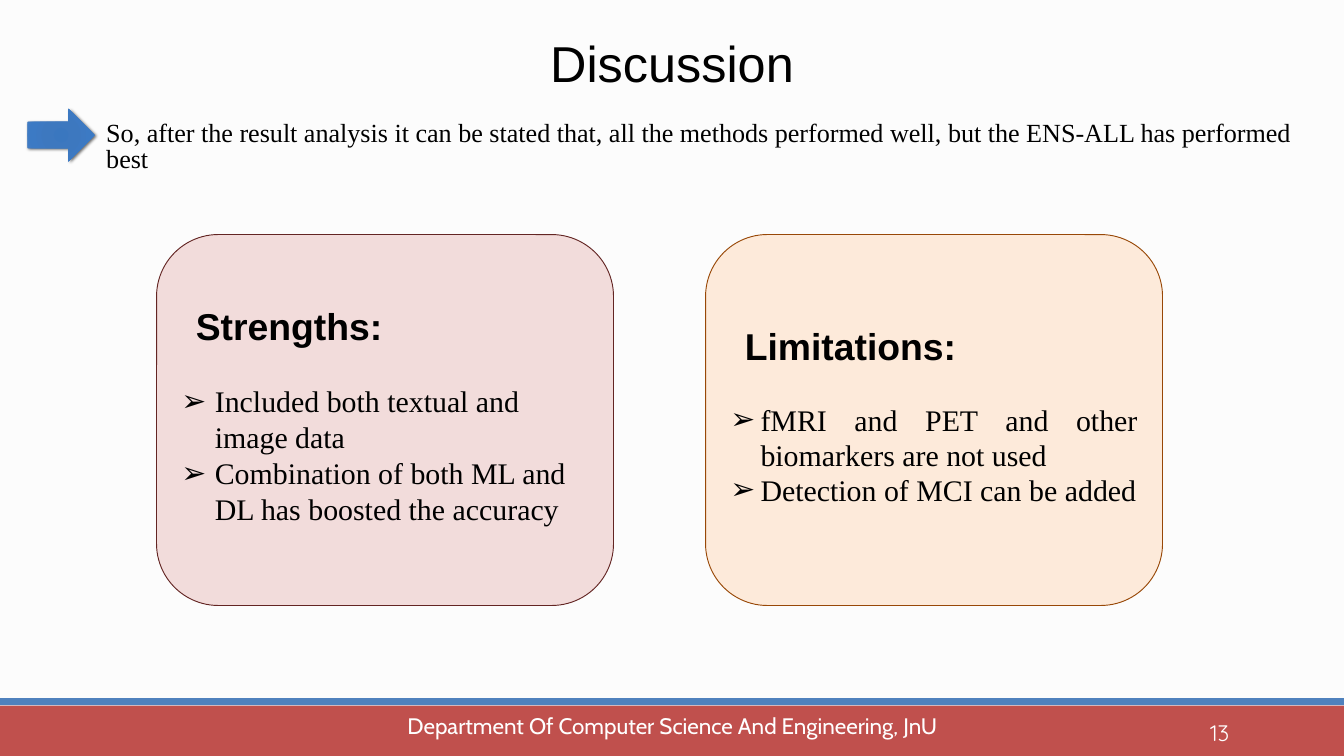
"""Builds the discussion slide with its strengths and limitations cards."""
from lxml.etree import SubElement
from pptx import Presentation
from pptx.dml.color import RGBColor
from pptx.enum.shapes import MSO_SHAPE as Preset
from pptx.enum.text import MSO_ANCHOR as Anchor, PP_ALIGN as Align
from pptx.oxml import parse_xml
from pptx.oxml.ns import nsdecls, qn
from pptx.util import Pt

THEME = {
    "background": "FCFCFC", "ink": "000000", "paper": "FFFFFF",
    "bar": "C0504D", "stripe": "4F81BD",
    "arrow": [(0, "3A77BF"), (34, "3D78BF"), (70, "3C7AC4"), (100, "4A81C3")],
    "heading_font": "Arial", "body_font": "Times New Roman",
    "footer_font": "Cabin", "number_font": "Quicksand",
    "title": 54, "heading": 40, "bullet": 32, "statement": 28, "footer": 24,
}
TITLE = "Discussion"
STATEMENT = ("So, after the result analysis it can be stated that, all the methods "
             "performed well, but the ENS-ALL has performed best")
FOOTER = "Department Of Computer Science And Engineering, JnU"
NUMBER = "13"
CARDS = [
    {"heading": "Strengths:", "fill": "F2DCDB", "line": "632523",
     "indent": 36, "align": Align.LEFT, "spacing": None,
     "bullets": ["Included both textual and image data",
                 "Combination of both ML and DL has boosted the accuracy"]},
    {"heading": "Limitations:", "fill": "FDEADA", "line": "984807",
     "indent": 32.4, "align": Align.JUSTIFY, "spacing": 37.3,
     "bullets": ["fMRI and PET and other biomarkers are not used",
                 "Detection of MCI can be added"]},
]
WIDTH, HEIGHT = 1440, 810
CARD_LEFT, CARD_TOP, CARD_WIDTH, CARD_HEIGHT = 167.76, 251.28, 489.6, 397.44
CARD_STEP = 588.24
HEADING_LINE, HEADING_INDENT = 37.3, 15.6


def color(value):
    return RGBColor.from_string(value)


def place(item, left, top, width, height):
    item.left, item.top, item.width, item.height = map(Pt, (left, top, width, height))


def add_preset(slide, preset, frame, fill=None, line=None):
    shape = slide.shapes.add_shape(preset, *map(Pt, frame))
    shape.shadow.inherit = False
    if fill:
        shape.fill.solid()
        shape.fill.fore_color.rgb = color(fill)
    if line:
        shape.line.color.rgb = color(line)
        shape.line.width = Pt(1)
    else:
        shape.line.fill.background()
    return shape


def add_span(para, text, font, size, ink=THEME["ink"], bold=False):
    span = para.add_run()
    span.text = text
    span.font.name, span.font.size, span.font.bold = font, Pt(size), bold
    span.font.color.rgb = color(ink)


def write_line(box, text, font, size, ink, align, anchor, inset=None, spacing=None):
    frame = box.text_frame
    frame.word_wrap = True
    frame.vertical_anchor = anchor
    if inset is not None:
        frame.margin_left = frame.margin_right = Pt(inset)
        frame.margin_top = frame.margin_bottom = Pt(inset)
    para = frame.paragraphs[0]
    para.alignment = align
    if spacing:
        para.line_spacing = Pt(spacing)
    add_span(para, text, font, size, ink)


def add_label(slide, frame, *style, **spacing):
    write_line(slide.shapes.add_textbox(*map(Pt, frame)), *style, **spacing)


def set_indent(para, left, first=0, bullet=None):
    props = para._p.get_or_add_pPr()
    props.set("marL", str(Pt(left)))
    props.set("indent", str(Pt(first)))
    if bullet:
        SubElement(props, qn("a:buFont")).set("typeface", THEME["heading_font"])
        SubElement(props, qn("a:buChar")).set("char", bullet)


def add_card(slide, index, card):
    left = CARD_LEFT + index * CARD_STEP
    shape = add_preset(slide, Preset.ROUNDED_RECTANGLE,
                       (left, CARD_TOP, CARD_WIDTH, CARD_HEIGHT), card["fill"], card["line"])
    frame = shape.text_frame
    frame.word_wrap = True
    frame.vertical_anchor = Anchor.MIDDLE
    para = frame.paragraphs[0]
    set_indent(para, HEADING_INDENT)
    para.alignment = Align.LEFT
    para.line_spacing = para.space_after = Pt(HEADING_LINE)
    add_span(para, card["heading"], THEME["heading_font"], THEME["heading"], bold=True)
    for text in card["bullets"]:
        para = frame.add_paragraph()
        set_indent(para, card["indent"], -card["indent"], "➢")
        para.alignment = card["align"]
        if card["spacing"]:
            para.line_spacing = Pt(card["spacing"])
        add_span(para, text, THEME["body_font"], THEME["bullet"])


def add_arrow(slide):
    arrow = add_preset(slide, Preset.RIGHT_ARROW, (29.5, 116.6, 72, 56.2), THEME["stripe"])
    props = arrow._element.spPr
    stops = "".join(f'<a:gs pos="{at * 1000}"><a:srgbClr val="{value}"/></a:gs>'
                    for at, value in THEME["arrow"])
    gradient = parse_xml(
        f'<a:gradFill {nsdecls("a")} rotWithShape="1"><a:gsLst>{stops}</a:gsLst>'
        '<a:path path="circle"><a:fillToRect l="100000" t="100000" r="100000" b="100000"/>'
        '</a:path></a:gradFill>')
    props.replace(props.find(qn("a:solidFill")), gradient)
    effects = parse_xml(
        f'<a:effectLst {nsdecls("a")}><a:outerShdw blurRad="{Pt(3.5)}" dist="{Pt(2)}" '
        f'dir="2700000" algn="tl" rotWithShape="0"><a:srgbClr val="{THEME["ink"]}">'
        '<a:alpha val="60000"/></a:srgbClr></a:outerShdw></a:effectLst>')
    props.replace(props.find(qn("a:effectLst")), effects)


def main():
    deck = Presentation()
    deck.slide_width, deck.slide_height = Pt(WIDTH), Pt(HEIGHT)
    slide = deck.slides.add_slide(deck.slide_layouts[5])
    slide.background.fill.solid()
    slide.background.fill.fore_color.rgb = color(THEME["background"])

    add_preset(slide, Preset.RECTANGLE, (0, 756, WIDTH, 54), THEME["bar"])
    add_preset(slide, Preset.RECTANGLE, (0, 748.1, WIDTH, 7.5), THEME["stripe"])

    title = slide.shapes.title
    place(title, 568, 38.9, 304, 61.9)
    write_line(title, TITLE, THEME["heading_font"], THEME["title"], THEME["ink"],
               Align.CENTER, Anchor.TOP, inset=0, spacing=59.8)
    add_label(slide, (113.8, 131, 1294.6, 56.9), STATEMENT, THEME["body_font"],
              THEME["statement"], THEME["ink"], Align.LEFT, Anchor.TOP, inset=0, spacing=27.6)

    for index, card in enumerate(CARDS):
        add_card(slide, index, card)
    add_arrow(slide)

    add_label(slide, (1169.3, 763.2, 154.8, 43.2), NUMBER, THEME["number_font"],
              THEME["footer"], THEME["paper"], Align.RIGHT, Anchor.MIDDLE)
    add_label(slide, (352, 755.3, 736.6, 43.2), FOOTER, THEME["footer_font"],
              THEME["footer"], THEME["paper"], Align.CENTER, Anchor.MIDDLE)
    deck.save("out.pptx")


if __name__ == "__main__":
    main()
